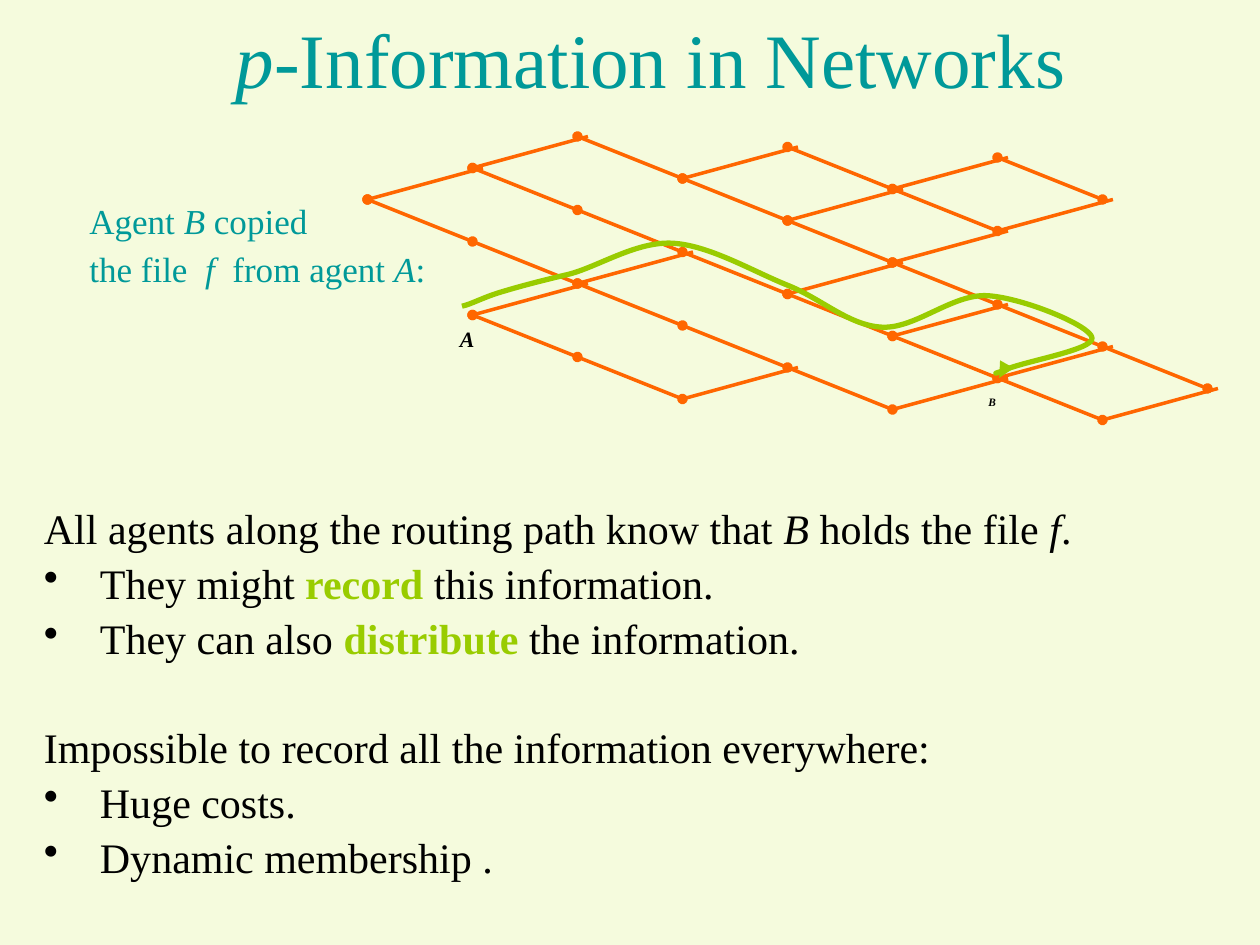
from dataclasses import dataclass

from lxml import etree
from pptx import Presentation
from pptx.dml.color import RGBColor
from pptx.enum import shapes, text
from pptx.oxml import ns
from pptx.util import Pt


@dataclass(frozen=True)
class Theme:
    """Hold the colours, font and type sizes of the slide."""
    paper: str = "F5FBDD"
    teal: str = "009999"
    ink: str = "000000"
    route: str = "99CC00"
    network: str = "FF6600"
    face: str = "Times New Roman"
    title: float = 44
    body: float = 24
    caption: float = 20
    agent_a: float = 12.5
    agent_b: float = 6.5


THEME = Theme()
DOWN, UP = (60, 24), (66, -18)
DESCENTS = [
    ((210, 114), 5, False), ((270, 96), 6, False), ((330, 78), 6, True),
    ((450, 84), 2, False), ((570, 90), 1, True), ((270, 180), 2, False),
]
ASCENTS = [
    (210, 114), (270, 96), (270, 180), (330, 162), (390, 102),
    (390, 228), (450, 126), (450, 168), (510, 108), (510, 150),
    (510, 192), (510, 234), (570, 132), (570, 216), (630, 240),
]
ROUTE = [
    (571, 216), (571, 215), (564, 215), (573, 212), (582, 207), (626, 200),
    (624, 193), (623, 186), (584, 170), (564, 169), (544, 168), (523, 188),
    (504, 187), (485, 186), (470, 171), (450, 163), (430, 155), (405, 140),
    (384, 139), (363, 138), (341, 153), (324, 157), (307, 161), (296, 164),
    (286, 167), (276, 170), (269, 174), (264, 175),
]
ITALIC = {"italic": True}
KEYWORD = {"bold": True, "color": THEME.route}
HANGING = {"line_spacing": 0.85, "space_before": Pt(7)}
AFTER_GAP = {"line_spacing": 0.85, "space_before": Pt(37.5)}
CENTRED = {"alignment": text.PP_ALIGN.CENTER}


def apply(target, values):
    """Set every attribute named in the values on the target."""
    for name, value in values.items():
        setattr(target, name, value)


def add_element(parent, tag, **attributes):
    """Append a DrawingML element to the parent."""
    return etree.SubElement(parent, ns.qn(tag), attributes)


def format_line(outline, color, width, **ends):
    """Colour a line, set its width and put marks on its ends."""
    outline.color.rgb = RGBColor.from_string(color)
    outline.width = Pt(width)
    for end, mark in ends.items():
        add_element(outline._get_or_add_ln(), f"a:{end}", type=mark)


def add_link(slide, start, step, last=False):
    """Draw one network link with a node at its start."""
    (x, y), (dx, dy) = start, step
    link = slide.shapes.add_connector(
        shapes.MSO_CONNECTOR.STRAIGHT, Pt(x), Pt(y), Pt(x + dx), Pt(y + dy))
    ends = {"headEnd": "oval", **({"tailEnd": "oval"} if last else {})}
    format_line(link.line, THEME.network, 2, **ends)
    add_element(link._element.spPr, "a:effectLst")


def add_network(slide):
    """Draw the descending chains and the ascending links."""
    for (x, y), count, closed in DESCENTS:
        for i in range(count):
            start = (x + i * DOWN[0], y + i * DOWN[1])
            add_link(slide, start, DOWN, closed and i == count - 1)
    for start in ASCENTS:
        add_link(slide, start, UP)


def add_route(slide):
    """Draw the curved route that ends in an arrow at agent B."""
    builder = slide.shapes.build_freeform(*ROUTE[0], scale=Pt(1))
    builder.add_line_segments(ROUTE[1:], close=False)
    route = builder.convert_to_shape()
    route.shadow.inherit = False
    route.fill.background()
    format_line(route.line, THEME.route, 3, headEnd="triangle")
    segments = list(route._element.iter(ns.qn("a:lnTo")))
    outline = segments[0].getparent()
    for first in range(0, len(segments), 3):
        curve = add_element(outline, "a:cubicBezTo")
        for segment in segments[first:first + 3]:
            curve.append(segment[0])
            outline.remove(segment)


def add_text(slide, box, paragraphs, size, color, indent=0, **frame_format):
    """Add a text box of paragraphs given as runs, format and bullet flag."""
    frame = slide.shapes.add_textbox(*map(Pt, box)).text_frame
    apply(frame, {"word_wrap": True, **frame_format})
    for i, (runs, layout, bulleted) in enumerate(paragraphs):
        paragraph = frame.add_paragraph() if i else frame.paragraphs[0]
        apply(paragraph, layout)
        properties = paragraph._p.get_or_add_pPr()
        if indent:
            properties.set("marL", str(Pt(indent)))
        if bulleted:
            properties.set("indent", str(-Pt(indent)))
            add_element(properties, "a:buChar", char="•")
        elif indent and size == THEME.body:
            properties.set("indent", str(-Pt(indent)))
        for words, style in runs:
            run = paragraph.add_run()
            run.text = words
            style = {"name": THEME.face, "size": Pt(size), "color": color, **style}
            run.font.color.rgb = RGBColor.from_string(style.pop("color"))
            apply(run.font, style)


def main():
    """Build the slide and save it."""
    deck = Presentation()
    apply(deck, {"slide_width": Pt(720), "slide_height": Pt(540)})
    slide = deck.slides.add_slide(deck.slide_layouts[6])
    slide.background.fill.solid()
    slide.background.fill.fore_color.rgb = RGBColor.from_string(THEME.paper)

    title = [("p", ITALIC), ("-Information in Networks", {})]
    add_text(slide, (48, 12, 648, 42), [(title, CENTRED, False)], THEME.title,
             THEME.teal, vertical_anchor=text.MSO_ANCHOR.MIDDLE)
    add_network(slide)
    agents = [("A", (252, 174, 30, 48), THEME.agent_a, 12),
              ("B", (552, 216, 30, 36), THEME.agent_b, 10)]
    for agent, box, size, top in agents:
        name = [(agent, {"bold": True, "italic": True})]
        add_text(slide, box, [(name, CENTRED, False)], size, THEME.ink,
                 margin_top=Pt(top))

    findings = [
        ([("All agents along the routing path know that ", {}), ("B", ITALIC),
          (" holds the file ", {}), ("f", ITALIC), (".", {})], HANGING, False),
        ([("They might ", {}), ("record", KEYWORD),
          (" this information.", {})], HANGING, True),
        ([("They can also ", {}), ("distribute", KEYWORD),
          (" the information.", {})], HANGING, True),
        ([("Impossible to record all the information everywhere:", {})],
         AFTER_GAP, False),
        ([("Huge costs.", {})], HANGING, True),
        ([("Dynamic membership .", {})], HANGING, True),
    ]
    add_text(slide, (18, 288, 666, 222), findings, THEME.body, THEME.ink, 32)
    add_route(slide)
    caption = [
        ([("Agent ", {}), ("B", ITALIC), (" copied", {})], HANGING, False),
        ([("the file  ", {}), ("f", ITALIC), ("  from agent ", {}),
          ("A", ITALIC), (":", {})], HANGING, False),
    ]
    add_text(slide, (12, 114, 258, 60), caption, THEME.caption, THEME.teal, 32)
    deck.save("out.pptx")


if __name__ == "__main__":
    main()
